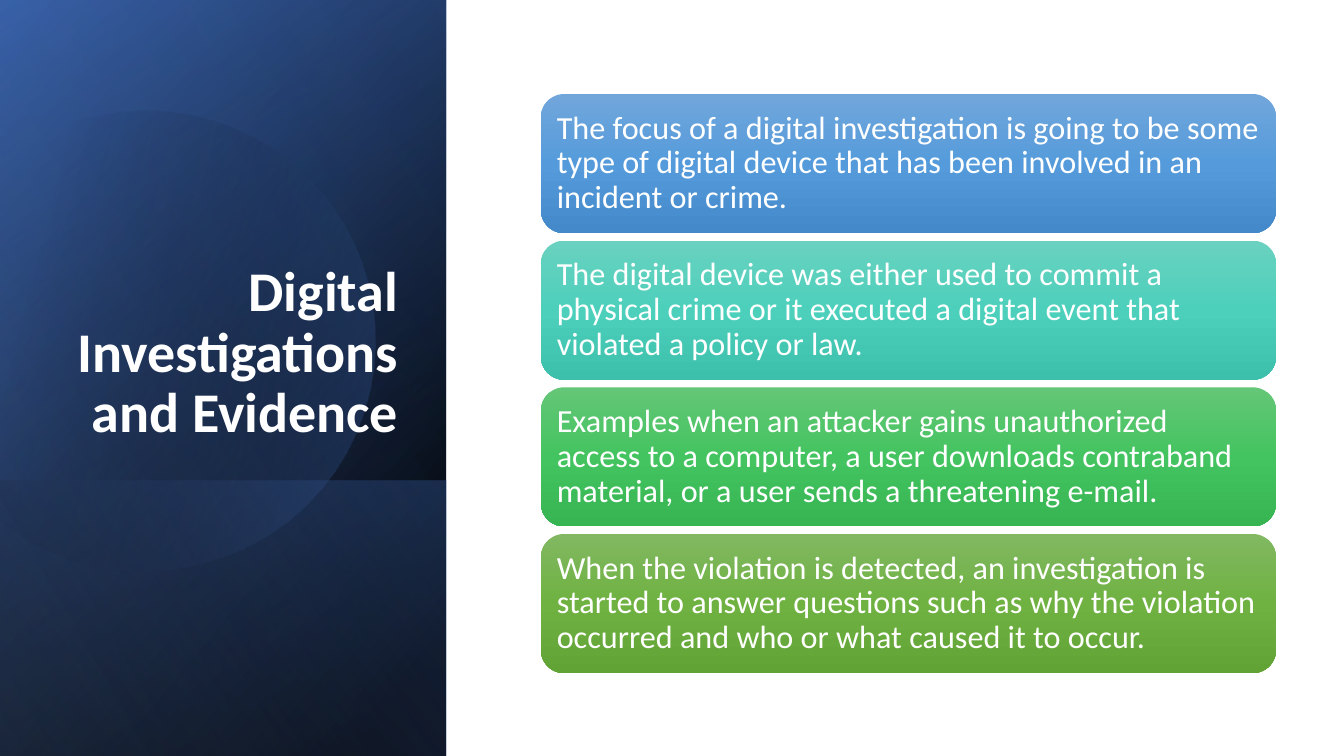
from math import cos, radians, sin

from lxml import etree
from pptx import Presentation
from pptx.dml.color import RGBColor
from pptx.enum.shapes import MSO_SHAPE
from pptx.enum.text import MSO_ANCHOR, PP_ALIGN
from pptx.oxml.ns import qn
from pptx.util import Pt

RECT, ROUND = MSO_SHAPE.RECTANGLE, MSO_SHAPE.ROUNDED_RECTANGLE
LEFT, RIGHT = PP_ALIGN.LEFT, PP_ALIGN.RIGHT
MIDDLE, BOTTOM = MSO_ANCHOR.MIDDLE, MSO_ANCHOR.BOTTOM
PX = 914400 / 100.8
FONT = "Calibri"

COLORS = {
    "white": "FFFFFF", "black": "000000", "navy": "2F5597",
    "blue": "4472C4", "pale": "8FAADC",
    "sky1": "71A6DB", "sky2": "559BDB", "sky3": "448ACA",
    "teal1": "6AD1C0", "teal2": "4CD0BC", "teal3": "3CC0AC",
    "green1": "64C677", "green2": "44C460", "green3": "36B552",
    "olive1": "81B861", "olive2": "6FB242", "olive3": "62A336",
}

TITLE = "Digital Investigations and Evidence"
CARDS = [
    ("sky", "The focus of a digital investigation is going to be some type of "
            "digital device that has been involved in an incident or crime."),
    ("teal", "The digital device was either used to commit a physical crime or "
             "it executed a digital event that violated a policy or law."),
    ("green", "Examples when an attacker gains unauthorized access to a computer, "
              "a user downloads contraband material, or a user sends a "
              "threatening e-mail."),
    ("olive", "When the violation is detected, an investigation is started to "
              "answer questions such as why the violation occurred and who or "
              "what caused it to occur."),
]

SIDE = (0, 0, 446, 756)
FOOT = (0, 481, 446, 275)
BACK = [
    (SIDE, 50, [(8, "black", 100), (100, "navy", 100)]),
    (SIDE, 30, [(0, "black", 0), (99, "blue", 46)]),
    (FOOT, 130, [(2, "blue", 29), (100, "black", 30)]),
]
GLOW = (SIDE, 120, [(0, "black", 0), (99, "pale", 11)])

DISC = [
    [(150, 111)],
    [(248, 113), (338, 178), (366, 277)],
    [(401, 400), (331, 527), (209, 562)],
    [(132, 585), (53, 566), (-3, 518)],
    [(-15, 507)],
    [(-15, 176)],
    [(0, 162)],
    [(23, 143), (50, 128), (81, 120)],
    [(104, 114), (127, 111), (150, 111)],
]
MID = (160, 337)
TURN = -16.1
STEPS = 16


def emu(n):
    return round(n * PX)


def paint(shape, angle, stops):
    shape.shadow.inherit = False
    shape.line.fill.background()
    shape.fill.background()
    props = shape._element.spPr
    grad = etree.Element(qn("a:gradFill"), rotWithShape="1")
    group = etree.SubElement(grad, qn("a:gsLst"))
    for pos, name, alpha in stops:
        stop = etree.SubElement(group, qn("a:gs"), pos=str(pos * 1000))
        color = etree.SubElement(stop, qn("a:srgbClr"), val=COLORS[name])
        if alpha < 100:
            etree.SubElement(color, qn("a:alpha"), val=str(alpha * 1000))
    etree.SubElement(grad, qn("a:lin"), ang=str(angle * 60000), scaled="0")
    props.replace(props.find(qn("a:noFill")), grad)


def panel(shapes, box, angle, stops):
    x, y, w, h = box
    shape = shapes.add_shape(RECT, emu(x + (w - h) / 2), emu(y + (h - w) / 2),
                             emu(h), emu(w))
    shape.rotation = 90
    shape._element.spPr.find(qn("a:xfrm")).set("flipH", "1")
    paint(shape, angle, stops)


def trace(parts):
    points = []
    for part in parts:
        if len(part) == 1:
            points += part
            continue
        curve = [points[-1]] + part
        for i in range(1, STEPS + 1):
            t = i / STEPS
            u = 1 - t
            mix = (u ** 3, 3 * u * u * t, 3 * u * t * t, t ** 3)
            points.append(tuple(sum(m * p[k] for m, p in zip(mix, curve))
                                for k in (0, 1)))
    return points


def disc(shapes):
    c, s = cos(radians(-TURN)), sin(radians(-TURN))
    points = []
    for x, y in trace(DISC):
        dx, dy = x - MID[0], y - MID[1]
        points.append((emu(MID[0] + dx * c - dy * s),
                       emu(MID[1] + dx * s + dy * c)))
    form = shapes.build_freeform(*points[0], scale=1.0)
    form.add_line_segments(points[1:], close=True)
    shape = form.convert_to_shape()
    shape.rotation = TURN
    paint(shape, 30, [(29, "black", 0), (100, "blue", 43)])


def write(shape, text, size, bold, align, anchor, pads):
    frame = shape.text_frame
    frame.word_wrap = True
    frame.vertical_anchor = anchor
    (frame.margin_left, frame.margin_top,
     frame.margin_right, frame.margin_bottom) = map(emu, pads)
    para = frame.paragraphs[0]
    para.alignment = align
    para.line_spacing = 0.9
    run = para.add_run()
    run.text = text
    run.font.name = FONT
    run.font.size = Pt(size)
    run.font.bold = bold
    run.font.color.rgb = RGBColor.from_string(COLORS["white"])


def main():
    deck = Presentation()
    deck.slide_width, deck.slide_height = emu(1344), emu(756)
    shapes = deck.slides.add_slide(deck.slide_layouts[6]).shapes

    for item in BACK:
        panel(shapes, *item)
    disc(shapes)
    panel(shapes, *GLOW)

    title = shapes.add_textbox(*map(emu, (65, 186, 343, 264)))
    write(title, TITLE, 40, True, RIGHT, BOTTOM, (10, 5, 10, 5))

    left, top, wide, high, end = 541, 94, 735, 139, 673
    pitch = (end - top - high) / (len(CARDS) - 1)
    for i, (hue, text) in enumerate(CARDS):
        card = shapes.add_shape(ROUND, *map(emu, (left, top + i * pitch, wide, high)))
        paint(card, 90, [(50 * k, f"{hue}{k + 1}", 100) for k in range(3)])
        write(card, text, 23, False, LEFT, MIDDLE, (9, 9, 9, 9))

    deck.save("out.pptx")


if __name__ == "__main__":
    main()
